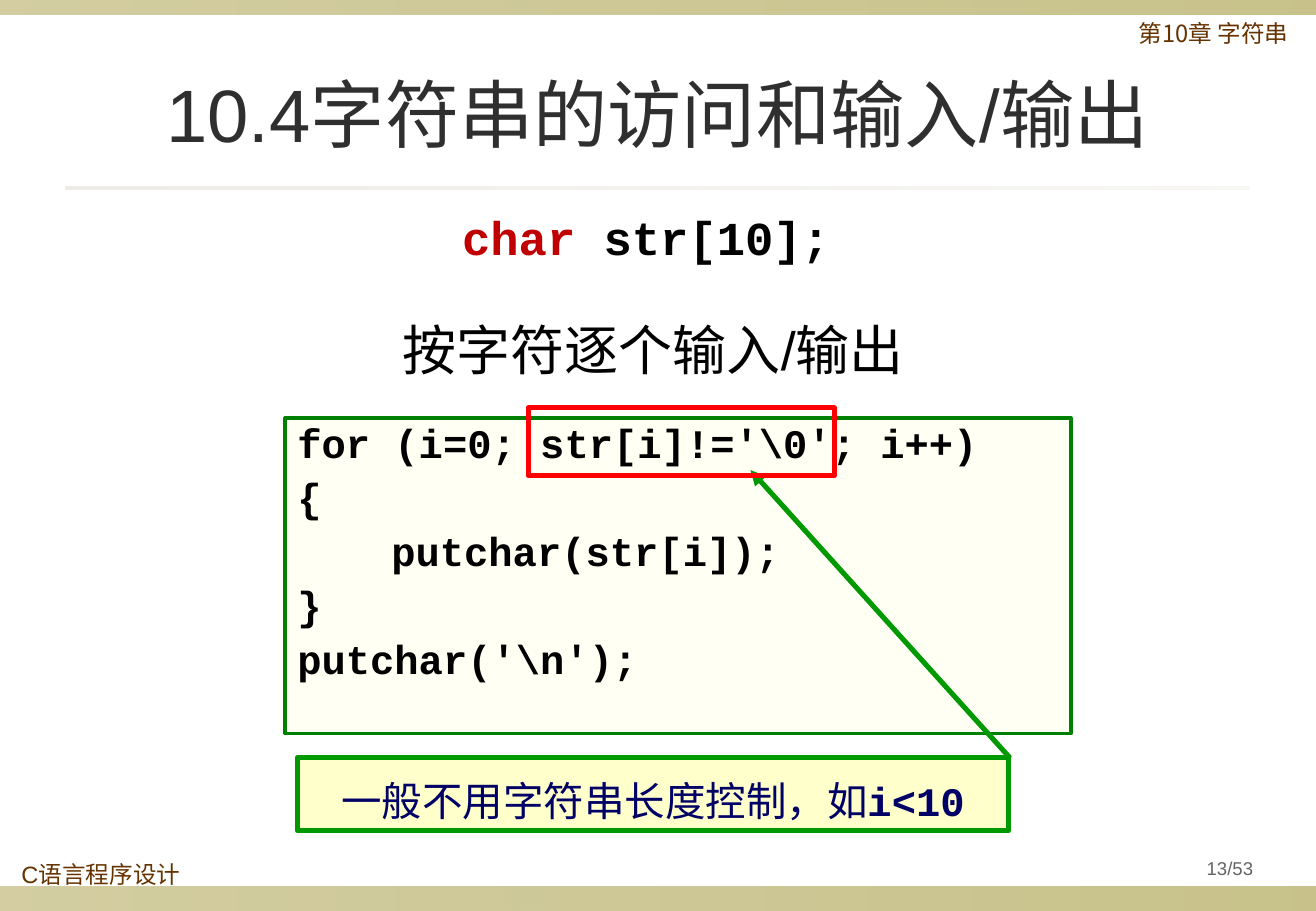
from lxml import etree
from pptx import Presentation
from pptx.dml.color import RGBColor
from pptx.enum import shapes, text
from pptx.oxml import ns
from pptx.util import Cm, Pt

COLORS = {
    "band": "918415", "rule": "DCD9CC", "brown": "663300", "title": "2F2F2F",
    "black": "000000", "keyword": "C00000", "code_fill": "FFFFF4",
    "code_line": "008000", "green": "009900", "note_fill": "FFFFCC",
    "navy": "000066", "red": "FF0000", "gray": "636363",
}
CJK = "Noto Sans CJK SC"
MONO = "Courier New"
CENTER = text.PP_ALIGN.CENTER
MIDDLE = text.MSO_ANCHOR.MIDDLE

presentation = Presentation()
presentation.slide_width, presentation.slide_height = Cm(27.53), Cm(19.05)
slide = presentation.slides.add_slide(presentation.slide_layouts[6])


def add_rectangle(left, top, width, height, fill=None, line=None, line_width=3):
    shape = slide.shapes.add_shape(
        shapes.MSO_SHAPE.RECTANGLE, Cm(left), Cm(top), Cm(width), Cm(height))
    shape.shadow.inherit = False
    if fill:
        shape.fill.solid()
        shape.fill.fore_color.rgb = RGBColor.from_string(COLORS[fill])
    else:
        shape.fill.background()
    if line:
        shape.line.color.rgb = RGBColor.from_string(COLORS[line])
        shape.line.width = Pt(line_width)
    else:
        shape.line.fill.background()
    return shape


def write(shape, lines, size, bold=False, align=None, anchor=text.MSO_ANCHOR.TOP,
          spacing=1.0, before=0, hanging=0):
    """Fill a shape with lines, each a list of (wording, font, colour) runs."""
    frame = shape.text_frame
    frame.word_wrap = True
    frame.vertical_anchor = anchor
    for index, runs in enumerate(lines):
        paragraph = frame.add_paragraph() if index else frame.paragraphs[0]
        paragraph.alignment = align or text.PP_ALIGN.LEFT
        paragraph.line_spacing = spacing
        if index:
            paragraph.space_before = Pt(before)
        if hanging:
            properties = paragraph._p.get_or_add_pPr()
            properties.set("marL", str(Cm(hanging)))
            properties.set("indent", str(-Cm(hanging)))
        for wording, font, color in runs:
            run = paragraph.add_run()
            run.text = wording
            run.font.name = font
            run.font.size = Pt(size)
            run.font.bold = bold or (font == MONO)
            run.font.color.rgb = RGBColor.from_string(COLORS[color])
            east_asian = etree.SubElement(run.font._element, ns.qn("a:ea"))
            east_asian.set("typeface", CJK)


# Bands at the slide edges and the rule under the title
for left, top, width, height, color, opacities in [
    (0, 18.54, 27.53, 0.51, "band", (40, 50)),
    (0, 0, 27.53, 0.31, "band", (40, 50)),
    (1.37, 3.91, 24.77, 0.06, "rule", (50, 20)),
]:
    band = add_rectangle(left, top, width, height)
    band.fill.gradient()
    band.fill.gradient_angle = 0
    for stop, opacity in zip(band.fill.gradient_stops, opacities):
        stop.color.rgb = RGBColor.from_string(COLORS[color])
        color_element = stop._gs.find(ns.qn("a:srgbClr"))
        etree.SubElement(color_element, ns.qn("a:alpha")).set("val", str(opacity * 1000))

# Code listing
code_lines = [
    r"for (i=0; str[i]!='\0'; i++)",
    "{",
    "\t  putchar(str[i]);",
    "}",
    r"putchar('\n');",
]
code_box = add_rectangle(5.97, 8.74, 16.43, 6.6, "code_fill", "code_line", 2.25)
write(code_box, [[(line, MONO, "black")] for line in code_lines], 24,
      spacing=0.9, before=6, hanging=0.95)

# Headings, header and footer
for (left, top, width, height), runs, size, options in [
    ((23.57, 0.33, 4.39, 0.99), [("第10章 字符串", CJK, "brown")], 14, {"spacing": 0.9}),
    ((0.2, 17.93, 3.96, 0.81), [("C语言程序设计", "Arial", "brown")], 14, {"spacing": 0.9}),
    ((1.37, 0.76, 24.77, 3.18), [("10.4字符串的访问和输入/输出", "Arial", "title")], 44,
     {"align": CENTER, "anchor": MIDDLE}),
    ((9.42, 4.32, 8.89, 1.8), [("char", MONO, "keyword"), (" str[10];", MONO, "black")], 28,
     {"spacing": 0.95, "hanging": 0.95}),
    ((6.83, 6.12, 13.67, 2.34), [("按字符逐个输入/输出", "Arial", "black")], 32,
     {"align": CENTER, "anchor": MIDDLE}),
    ((24.36, 17.78, 2.74, 0.79), [("13/53", "Arial", "gray")], 11,
     {"align": CENTER, "anchor": MIDDLE, "spacing": 0.9}),
]:
    box = slide.shapes.add_textbox(Cm(left), Cm(top), Cm(width), Cm(height))
    write(box, [runs], size, **options)

# Arrow from the note to the loop condition
arrow = slide.shapes.add_connector(
    shapes.MSO_CONNECTOR.STRAIGHT, Cm(21.13), Cm(15.85), Cm(15.7), Cm(9.83))
arrow.line.color.rgb = RGBColor.from_string(COLORS["green"])
arrow.line.width = Pt(3)
etree.SubElement(arrow.line._get_or_add_ln(), ns.qn("a:tailEnd")).set("type", "triangle")
etree.SubElement(arrow._element.spPr, ns.qn("a:effectLst"))

note = add_rectangle(6.22, 15.85, 14.88, 1.52, "note_fill", "green")
write(note, [[("一般不用字符串长度控制，如", CJK, "navy"), ("i<10", MONO, "navy")]], 24,
      align=CENTER, spacing=1.25)

condition_frame = add_rectangle(11.05, 8.53, 6.4, 1.42, line="red")

presentation.save("out.pptx")
